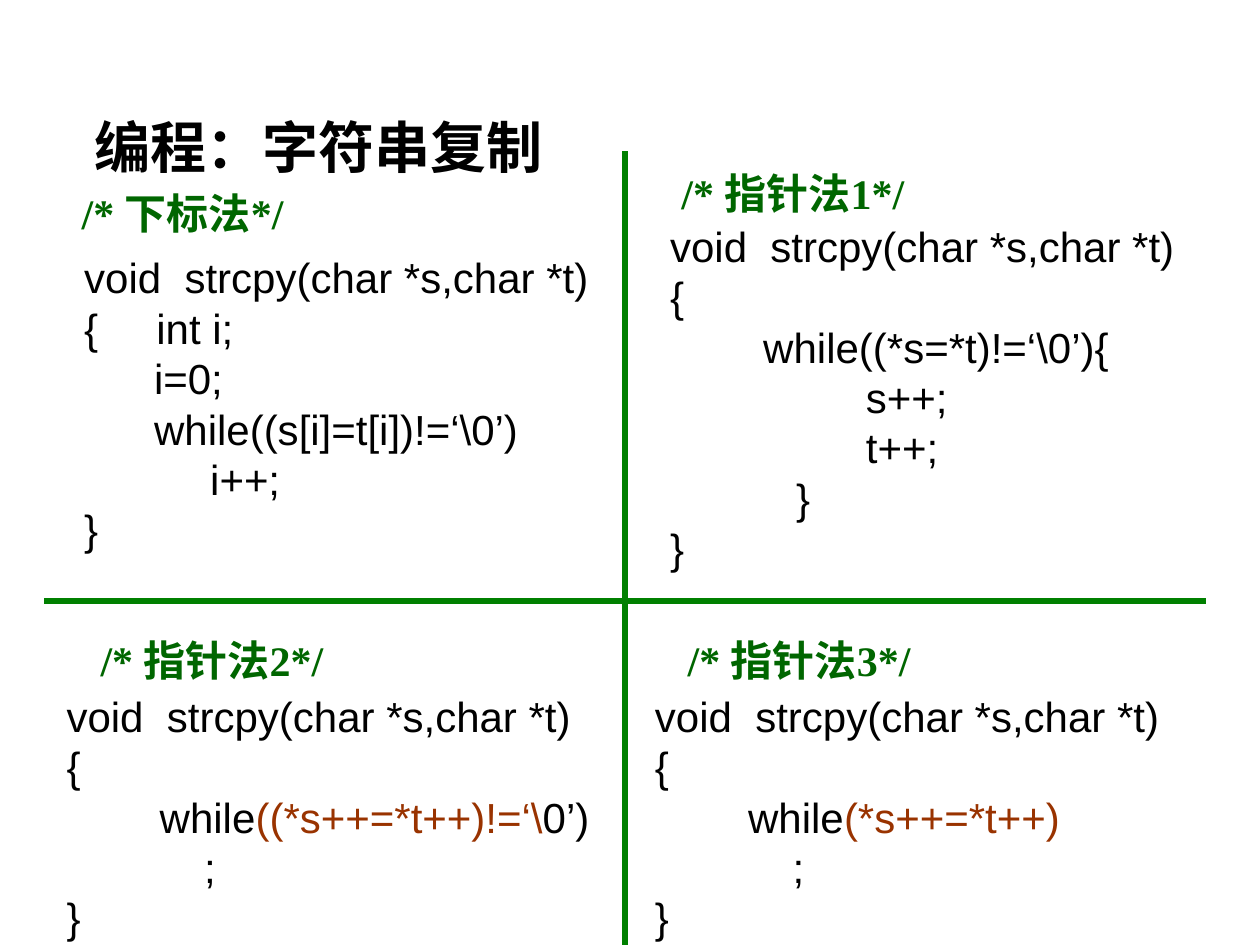
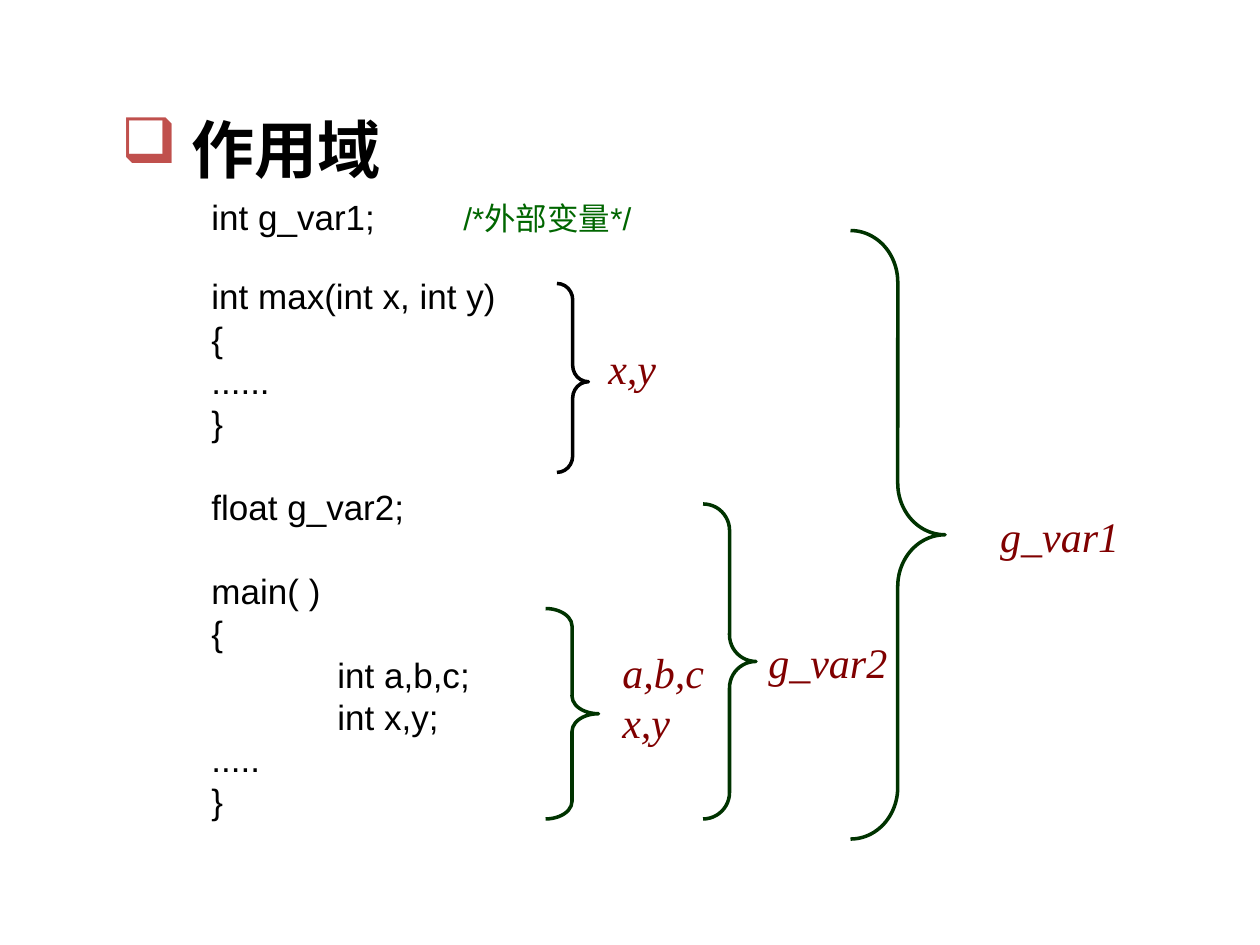
from dataclasses import dataclass

from lxml import etree
from pptx import Presentation
from pptx.dml.color import RGBColor
from pptx.enum.shapes import MSO_CONNECTOR, MSO_SHAPE
from pptx.enum.text import MSO_ANCHOR, MSO_AUTO_SIZE, PP_ALIGN
from pptx.oxml.ns import qn
from pptx.util import Inches, Pt

STRAIGHT = MSO_CONNECTOR.STRAIGHT
RIGHT_BRACE = MSO_SHAPE.RIGHT_BRACE
TOP = MSO_ANCHOR.TOP
GROW = MSO_AUTO_SIZE.SHAPE_TO_FIT_TEXT
LEFT = PP_ALIGN.LEFT

BLACK = "000000"
DIVIDER_GREEN = "008000"
COMMENT_GREEN = "006600"
BRACE_GREEN = "003300"
ACCENT_BROWN = "993300"
SCOPE_RED = "800000"
BULLET_RED = "C0504D"
LINE_PITCH = 1.2  # line height as a multiple of the text size
TITLE_ONLY = 5


@dataclass(frozen=True)
class Style:
    font: str
    size: float
    color: str = BLACK
    bold: bool = False
    italic: bool = False


@dataclass(frozen=True)
class Span:
    text: str
    style: Style


@dataclass(frozen=True)
class Line:
    spans: tuple
    space_before: float = 0


@dataclass(frozen=True)
class Block:
    left: float
    top: float
    width: float
    height: float
    lines: tuple
    style: Style
    wrap: bool = False


@dataclass(frozen=True)
class Brace:
    left: float
    top: float
    width: float
    height: float
    curl: float
    tip: float = 0.5
    color: str = BRACE_GREEN


CODE = Style("Arial", 24)
ACCENT = Style("Arial", 24, ACCENT_BROWN)
COMMENT = Style("Times New Roman", 24, COMMENT_GREEN, bold=True)
TITLE = Style("Times New Roman", 32, bold=True)
BIG_TITLE = Style("Times New Roman", 36, bold=True)
SCOPE_CODE = Style("Arial", 20)
SCOPE_COMMENT = Style("Arial", 18, COMMENT_GREEN)
SCOPE_NAME = Style("Times New Roman", 24, SCOPE_RED, italic=True)

SIGNATURE = "void  strcpy(char *s,char *t)"

# String copy: four versions of the function
COPY_TITLE = Block(0.65, 0.84, 3.87, 0.64, ("编程：字符串复制",), TITLE)
COPY_BLOCKS = (
    Block(0.57, 1.95, 4.2, 2.5, (
        SIGNATURE,
        "{     int i;",
        "      i=0;",
        "      while((s[i]=t[i])!=‘\\0’)",
        "\ti++;",
        "}",
    ), CODE),
    Block(5.22, 1.7, 4.2, 2.9, (
        SIGNATURE,
        "{",
        "        while((*s=*t)!=‘\\0’){",
        "\t      s++;",
        "    \t      t++;",
        "\t}",
        "}",
    ), CODE),
    Block(0.43, 5.43, 4.53, 2.1, (
        SIGNATURE,
        "{",
        Line((Span("        while", CODE), Span("((*s++=*t++)!=‘\\", ACCENT), Span("0’)", CODE))),
        "\t ;",
        "}",
    ), CODE),
    Block(5.1, 5.43, 4.2, 2.1, (
        SIGNATURE,
        "{",
        Line((Span("        while", CODE), Span("(*s++=*t++)", ACCENT))),
        "\t ;",
        "}",
    ), CODE),
    Block(0.55, 1.44, 1.96, 0.5, ("/* 下标法*/",), COMMENT),
    Block(5.31, 1.28, 2.13, 0.5, ("/* 指针法1*/",), COMMENT),
    Block(0.7, 4.99, 2.13, 0.5, ("/* 指针法2*/",), COMMENT),
    Block(5.36, 4.99, 2.13, 0.5, ("/* 指针法3*/",), COMMENT),
)
DIVIDERS = ((4.96, 1.2, 4.96, 7.5), (0.35, 4.77, 9.57, 4.77))

# Scope: one program, with a brace for the reach of each variable
SCOPE_TITLE = Block(0.86, 0.83, 2.28, 0.7, (" 作用域",), BIG_TITLE)
SCOPE_BLOCKS = (
    Block(1.58, 1.5, 5, 5.07, (
        Line((Span("int g_var1;\t", SCOPE_CODE), Span("/*外部变量*/", SCOPE_COMMENT))),
        Line((Span("int max(int x, int y)", SCOPE_CODE),), 21.6),
        "{",
        "......",
        "}",
        Line((Span("float g_var2;", SCOPE_CODE),), 24),
        Line((Span("main( )", SCOPE_CODE),), 24),
        "{",
        "\tint a,b,c;",
        "\tint x,y;",
        ".....",
        "}",
    ), SCOPE_CODE, wrap=True),
    Block(4.73, 2.67, 0.58, 0.5, ("x,y",), SCOPE_NAME),
    Block(4.84, 5.08, 0.85, 0.9, ("a,b,c", "x,y"), SCOPE_NAME),
    Block(7.84, 4, 1.23, 0.5, ("g_var1",), SCOPE_NAME),
    Block(6, 5, 1.23, 0.5, ("g_var2",), SCOPE_NAME),
)
BRACES = (
    Brace(4.42, 2.25, 0.25, 1.5, 0.13, tip=0.52, color=BLACK),
    Brace(4.33, 4.83, 0.42, 1.67, 0.14),
    Brace(6.75, 1.83, 0.75, 4.83, 0.41),
    Brace(5.58, 4, 0.42, 2.5, 0.21),
)


def rgb(color: str) -> RGBColor:
    return RGBColor.from_string(color)


def set_attributes(target, values: dict) -> None:
    for name, value in values.items():
        setattr(target, name, value)


def add_tabs(para) -> None:
    """Set a left tab at every inch."""
    tabs = etree.SubElement(para._p.get_or_add_pPr(), qn("a:tabLst"))
    for inch in range(1, 8):
        etree.SubElement(tabs, qn("a:tab"), pos=str(Inches(inch)), algn="l")


def add_bullet(para, character: str, color: str) -> None:
    properties = para._p.get_or_add_pPr()
    properties.set("marL", "0")
    properties.set("indent", "0")
    bullet_color = etree.SubElement(properties, qn("a:buClr"))
    etree.SubElement(bullet_color, qn("a:srgbClr"), val=color)
    etree.SubElement(properties, qn("a:buChar"), char=character)


def add_span(para, span: Span) -> None:
    run = para.add_run()
    run.text = span.text
    style = span.style
    set_attributes(run.font, {
        "name": style.font,
        "size": Pt(style.size),
        "bold": style.bold,
        "italic": style.italic,
    })
    run.font.color.rgb = rgb(style.color)


def fill_box(box, block: Block, bullet: str = "") -> None:
    """Place a text box or placeholder and write its lines."""
    set_attributes(box, {
        "left": Inches(block.left),
        "top": Inches(block.top),
        "width": Inches(block.width),
        "height": Inches(block.height),
    })
    frame = box.text_frame
    set_attributes(frame, {
        "word_wrap": block.wrap,
        "auto_size": GROW,
        "vertical_anchor": TOP,
        "margin_left": Inches(0.1),
        "margin_right": Inches(0.1),
        "margin_top": Inches(0.05),
        "margin_bottom": Inches(0.05),
    })
    for index, line in enumerate(block.lines):
        if isinstance(line, str):
            line = Line((Span(line, block.style),))
        para = frame.add_paragraph() if index else frame.paragraphs[0]
        if bullet:
            add_bullet(para, bullet, BULLET_RED)
        add_tabs(para)
        set_attributes(para, {
            "alignment": LEFT,
            "line_spacing": Pt(block.style.size * LINE_PITCH),
            "space_before": Pt(line.space_before),
        })
        for span in line.spans:
            add_span(para, span)


def add_blocks(page, blocks: tuple) -> None:
    for block in blocks:
        box = page.shapes.add_textbox(0, 0, Inches(1), Inches(1))
        fill_box(box, block)


def add_divider(page, ends: tuple) -> None:
    divider = page.shapes.add_connector(STRAIGHT, *(Inches(end) for end in ends))
    divider.line.color.rgb = rgb(DIVIDER_GREEN)
    divider.line.width = Pt(3.5)
    etree.SubElement(divider._element.spPr, qn("a:effectLst"))


def add_brace(page, brace: Brace) -> None:
    place = (brace.left, brace.top, brace.width, brace.height)
    shape = page.shapes.add_shape(RIGHT_BRACE, *(Inches(length) for length in place))
    shape.adjustments[0] = brace.curl / brace.width
    shape.adjustments[1] = brace.tip
    shape.shadow.inherit = False
    shape.fill.background()
    shape.line.color.rgb = rgb(brace.color)
    shape.line.width = Pt(2)


def add_page(deck, title: Block, bullet: str = ""):
    page = deck.slides.add_slide(deck.slide_layouts[TITLE_ONLY])
    fill_box(page.shapes.title, title, bullet)
    return page


def main() -> None:
    deck = Presentation()
    deck.slide_width = Inches(10)
    deck.slide_height = Inches(7.5)

    copy_page = add_page(deck, COPY_TITLE)
    add_blocks(copy_page, COPY_BLOCKS)
    for ends in DIVIDERS:
        add_divider(copy_page, ends)

    scope_page = add_page(deck, SCOPE_TITLE, bullet="❑")
    add_blocks(scope_page, SCOPE_BLOCKS)
    for brace in BRACES:
        add_brace(scope_page, brace)

    deck.save("out.pptx")


if __name__ == "__main__":
    main()
